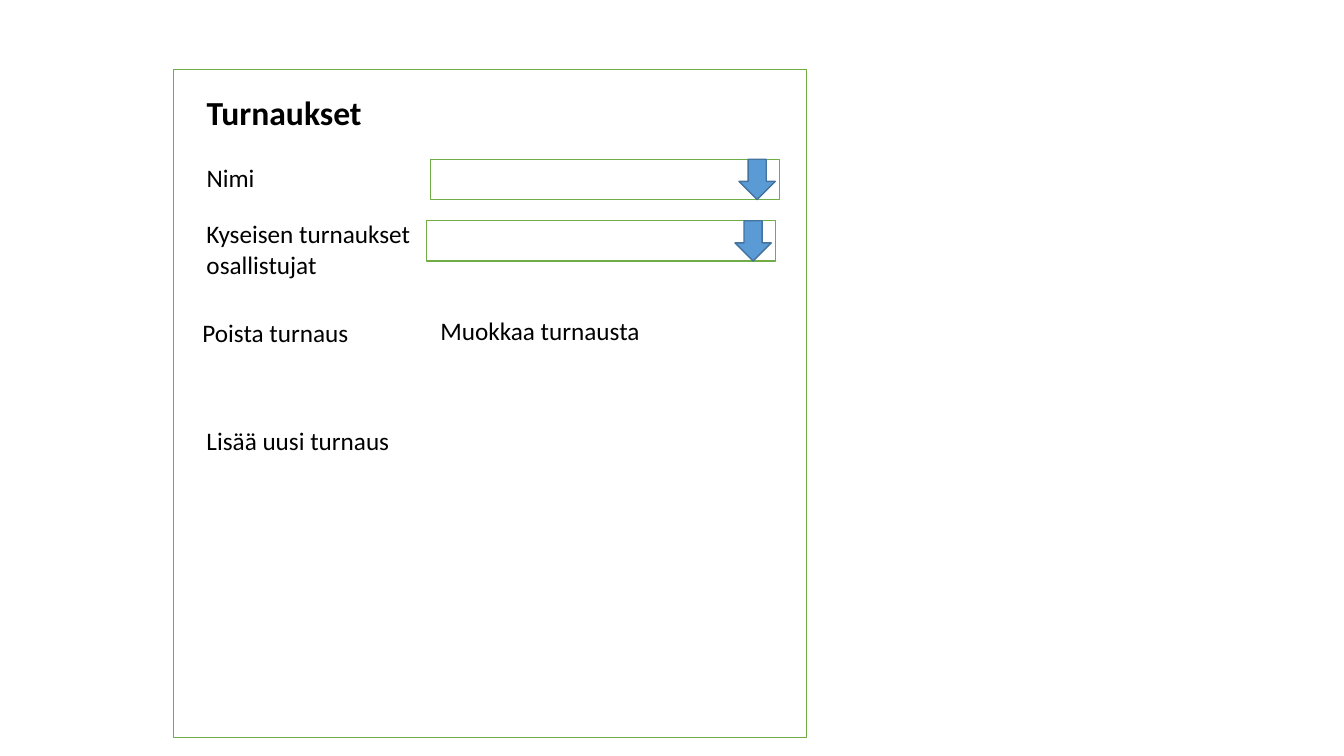
from pptx import Presentation
from pptx.dml.color import RGBColor
from pptx.enum.shapes import MSO_SHAPE as Preset
from pptx.util import Inches, Pt

WHITE = RGBColor(0xFF, 0xFF, 0xFF)
BLACK = RGBColor(0, 0, 0)
GREEN = RGBColor(0x70, 0xAD, 0x47)
BLUE = RGBColor(0x5B, 0x9B, 0xD5)
DARK_BLUE = RGBColor(0x43, 0x73, 0x9E)


def add_preset(page, preset, box, fill, line):
    """Draw a filled, outlined shape in box (left, top, width, height)."""
    shape = page.shapes.add_shape(preset, *map(Inches, box))
    shape.shadow.inherit = False
    shape.fill.solid()
    shape.fill.fore_color.rgb = fill
    shape.line.color.rgb = line
    shape.line.width = Pt(1)


def add_label(page, box, lines, size=18, bold=False, wrap=False):
    """Write one paragraph per line in box."""
    frame = page.shapes.add_textbox(*map(Inches, box)).text_frame
    frame.word_wrap = wrap
    for index, line in enumerate(lines):
        para = frame.add_paragraph() if index else frame.paragraphs[0]
        span = para.add_run()
        span.text = line
        span.font.name = "Calibri"
        span.font.size = Pt(size)
        span.font.bold = bold
        span.font.color.rgb = BLACK


def add_dropdown(page, box):
    """Draw a selection field with a down arrow near its right end."""
    left, top, width, height = box
    add_preset(page, Preset.RECTANGLE, box, WHITE, GREEN)
    arrow_box = (left + width - 0.4, top, 0.36, height)
    add_preset(page, Preset.DOWN_ARROW, arrow_box, BLUE, DARK_BLUE)


def add_tournament_form(page, box):
    """Draw the tournament form: frame, heading, fields and actions."""
    left, top, width, height = box
    add_preset(page, Preset.RECTANGLE, box, WHITE, GREEN)
    add_label(page, (left + 0.23, top + 0.17, 3.65, 0.5), ["Turnaukset"],
              size=24, bold=True, wrap=True)
    labels = [
        (0.23, 0.87, 0.68, 0.4, ["Nimi"]),
        (0.23, 1.43, 2.24, 0.71, ["Kyseisen turnaukset", "osallistujat"]),
        (0.19, 2.41, 1.66, 0.4, ["Poista turnaus"]),
        (2.55, 2.39, 2.2, 0.4, ["Muokkaa turnausta"]),
        (0.23, 3.48, 2.04, 0.4, ["Lisää uusi turnaus"]),
    ]
    for x, y, label_width, label_height, lines in labels:
        add_label(page, (left + x, top + y, label_width, label_height), lines)
    for x, y in [(2.55, 0.89), (2.51, 1.5)]:
        add_dropdown(page, (left + x, top + y, 3.46, 0.4))


deck = Presentation()
deck.slide_width, deck.slide_height = Inches(13.33), Inches(7.5)
page = deck.slides.add_slide(deck.slide_layouts[6])
add_tournament_form(page, (1.72, 0.69, 6.28, 6.63))
deck.save("out.pptx")
